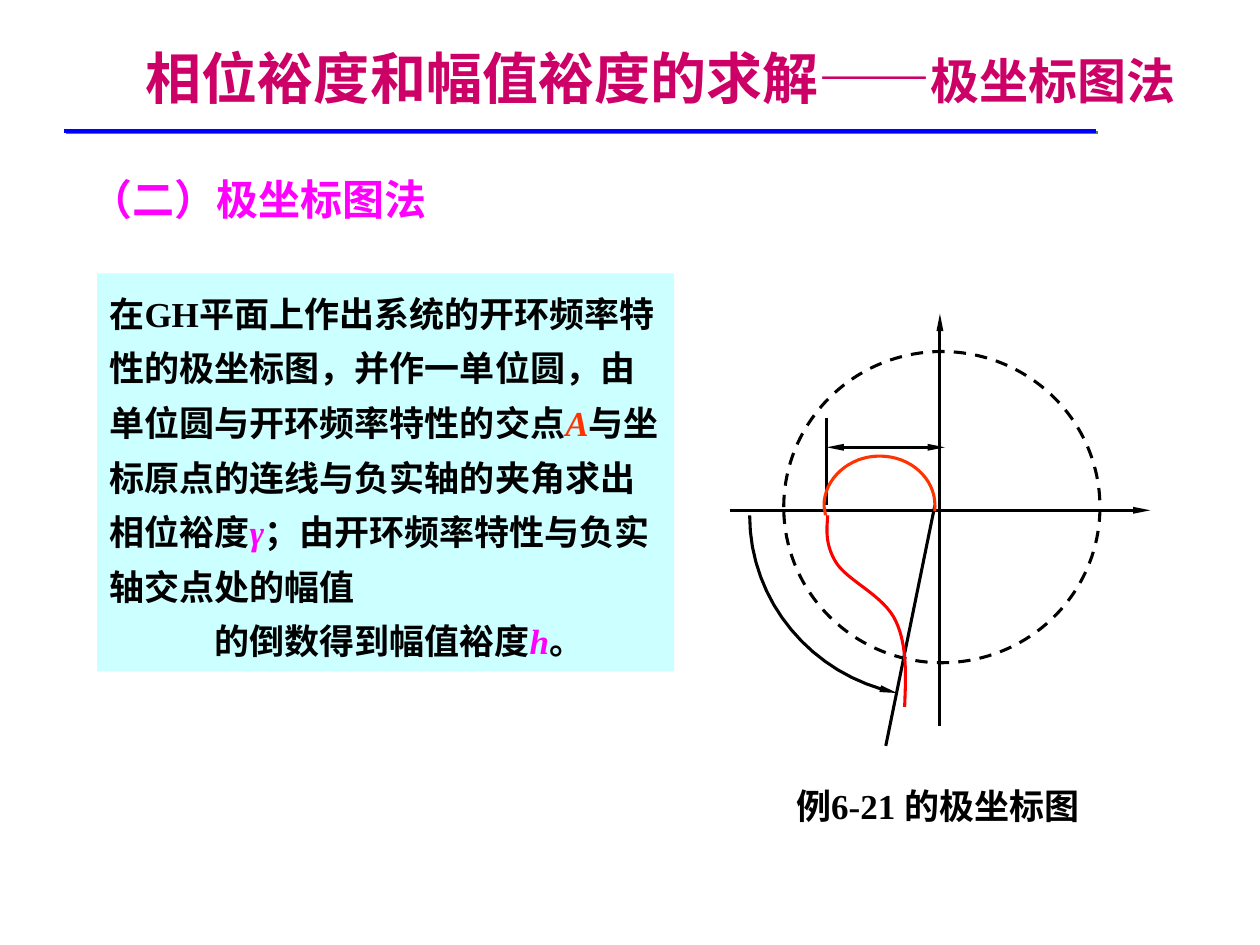
from lxml import etree
from pptx import Presentation
from pptx.dml.color import RGBColor
from pptx.enum import dml, shapes, text
from pptx.oxml import parse_xml
from pptx.oxml.ns import nsdecls, qn
from pptx.util import Inches, Pt

BLACK = RGBColor(0, 0, 0)
WHITE = RGBColor(255, 255, 255)
BLUE = RGBColor(0, 0, 255)
CRIMSON = RGBColor(0xCC, 0, 0x66)
MAGENTA = RGBColor(255, 0, 255)
ORANGE = RGBColor(255, 0x33, 0)
RED = RGBColor(255, 0, 0)
PALE_CYAN = RGBColor(0xCC, 255, 255)
SERIF = "Times New Roman"
SANS = "Noto Sans CJK SC"


def style_line(shape, color=BLACK, width=1.75, arrows=()):
    """Colour the line; arrows names its ends, headEnd before tailEnd."""
    shape.line.color.rgb = color
    shape.line.width = Pt(width)
    for end in arrows:
        etree.SubElement(shape.line._get_or_add_ln(), qn(f"a:{end}"),
                         type="triangle", w="sm", len="lg")


def write_runs(paragraph, runs):
    """Add (text, format values) runs; each keeps the values of the one before."""
    values = {}
    for content, changes in runs:
        values = {**values, **changes}
        run = paragraph.add_run()
        run.text = content
        run.font.color.rgb = values["color"]
        for name in ("name", "size", "bold", "italic"):
            if name in values:
                setattr(run.font, name, values[name])
        etree.SubElement(run._r.get_or_add_rPr(), qn("a:ea"), typeface=SANS)


presentation = Presentation()
presentation.slide_width = Inches(10)
presentation.slide_height = Inches(7.5)
slide = presentation.slides.add_slide(presentation.slide_layouts[6])
slide.background.fill.solid()
slide.background.fill.fore_color.rgb = WHITE

# Rule under the title, with a green shadow
title_rule = slide.shapes.add_connector(
    shapes.MSO_CONNECTOR.STRAIGHT, Inches(0.51), Inches(1.04), Inches(8.7), Inches(1.04))
style_line(title_rule, BLUE, 2)
title_rule._element.spPr.append(parse_xml(
    f'<a:effectLst {nsdecls("a")}><a:outerShdw dist="17780" dir="2700000">'
    '<a:srgbClr val="339933"/></a:outerShdw></a:effectLst>'))

# Text boxes: position, wrap, anchor, fill, line spacing, paragraphs of runs
body = {"name": SERIF, "size": Pt(20), "bold": True, "color": BLACK}
plain = {"color": BLACK, "italic": False}
symbol = {"color": MAGENTA, "italic": True}
title = {"name": SANS, "size": Pt(32), "bold": True, "color": CRIMSON}
TOP, MIDDLE = text.MSO_ANCHOR.TOP, text.MSO_ANCHOR.MIDDLE
text_boxes = [
    ((0.62, 1.33, 2.91, 0.51), False, TOP, None, 1, [
        [("（二）极坐标图法", {**body, "size": Pt(24), "color": MAGENTA})]]),
    ((0.77, 2.17, 4.58, 3.16), True, TOP, PALE_CYAN, 1.3, [
        [("在GH平面上作出系统的开环频率特性的极坐标图，并作一单位圆，"
          "由单位圆与开环频率特性的交点", body),
         ("A", {"color": ORANGE, "italic": True}),
         ("与坐标原点的连线与负实轴的夹角求出相位裕度", plain),
         ("γ", symbol),
         ("；由开环频率特性与负实轴交点处的幅值", plain)],
        [("的倒数得到幅值裕度", body), ("h", symbol), ("。", plain)]]),
    ((6.22, 6.18, 2.94, 0.44), True, TOP, None, 1, [
        [("例6-21 的极坐标图", body)]]),
    ((1.06, 0.18, 8.69, 0.87), True, MIDDLE, None, 1, [
        [("相位裕度和幅值裕度的求解", title),
         ("——", {"name": SERIF}),
         ("极坐标图法", {"name": SANS, "size": Pt(28)})]]),
]
for place, wrap, anchor, fill, spacing, paragraphs in text_boxes:
    box = slide.shapes.add_textbox(*map(Inches, place))
    if fill is not None:
        box.fill.solid()
        box.fill.fore_color.rgb = fill
    frame = box.text_frame
    frame.word_wrap = wrap
    frame.vertical_anchor = anchor
    for index, runs in enumerate(paragraphs):
        paragraph = frame.add_paragraph() if index else frame.paragraphs[0]
        paragraph.line_spacing = spacing
        if index:
            properties = paragraph._p.get_or_add_pPr()
            properties.set("marL", "0")
            properties.set("indent", str(Inches(0.83)))
        write_runs(paragraph, runs)

# Unit circle
circle = slide.shapes.add_shape(
    shapes.MSO_SHAPE.OVAL, Inches(6.22), Inches(2.79), Inches(2.51), Inches(2.47))
circle.shadow.inherit = False
circle.fill.background()
style_line(circle)
circle.line.dash_style = dml.MSO_LINE.DASH

# Gain dimension, axes, ray through A, crossing mark
straight_lines = [
    ((6.56, 3.55), (7.5, 3.55), ("headEnd", "tailEnd")),
    ((5.79, 4.05), (9.13, 4.05), ("tailEnd",)),
    ((7.46, 5.76), (7.46, 2.49), ("tailEnd",)),
    ((7.42, 4.01), (7.03, 5.92), ()),
    ((6.56, 4.01), (6.56, 3.32), ()),
]
for start, end, arrows in straight_lines:
    connector = slide.shapes.add_connector(
        shapes.MSO_CONNECTOR.STRAIGHT, *map(Inches, start + end))
    style_line(connector, arrows=arrows)
    etree.SubElement(connector._element.spPr, qn("a:effectLst"))

# Curves: start point, then Bezier pieces of two control points and an end
curves = [
    (ORANGE, (), (6.55, 4.09), [
        ((6.55, 4.06), (6.54, 4.04), (6.54, 4.01)),
        ((6.54, 3.8), (6.74, 3.62), (6.98, 3.62)),
        ((7.23, 3.62), (7.42, 3.8), (7.42, 4.01)),
        ((7.42, 4.03), (7.42, 4.04), (7.42, 4.06))]),
    (RED, (), (6.57, 4.09), [
        ((6.56, 4.21), (6.55, 4.33), (6.64, 4.47)),
        ((6.73, 4.61), (7.02, 4.73), (7.11, 4.93)),
        ((7.2, 5.12), (7.19, 5.36), (7.18, 5.61))]),
    (BLACK, ("headEnd",), (7.12, 5.5), [((6.44, 5.36), (5.95, 4.77), (5.95, 4.09))]),
]
STEPS = 16
for color, arrows, start, pieces in curves:
    points = [start]
    for control_1, control_2, end in pieces:
        origin = points[-1]
        for step in range(1, STEPS + 1):
            t = step / STEPS
            points.append(tuple(
                (1 - t) ** 3 * a + 3 * t * (1 - t) ** 2 * b + 3 * t ** 2 * (1 - t) * c + t ** 3 * d
                for a, b, c, d in zip(origin, control_1, control_2, end)))
    first, *rest = [(Inches(x), Inches(y)) for x, y in points]
    builder = slide.shapes.build_freeform(*first)
    builder.add_line_segments(rest, close=False)
    curve = builder.convert_to_shape()
    curve.shadow.inherit = False
    curve.fill.background()
    style_line(curve, color, arrows=arrows)

presentation.save("out.pptx")
